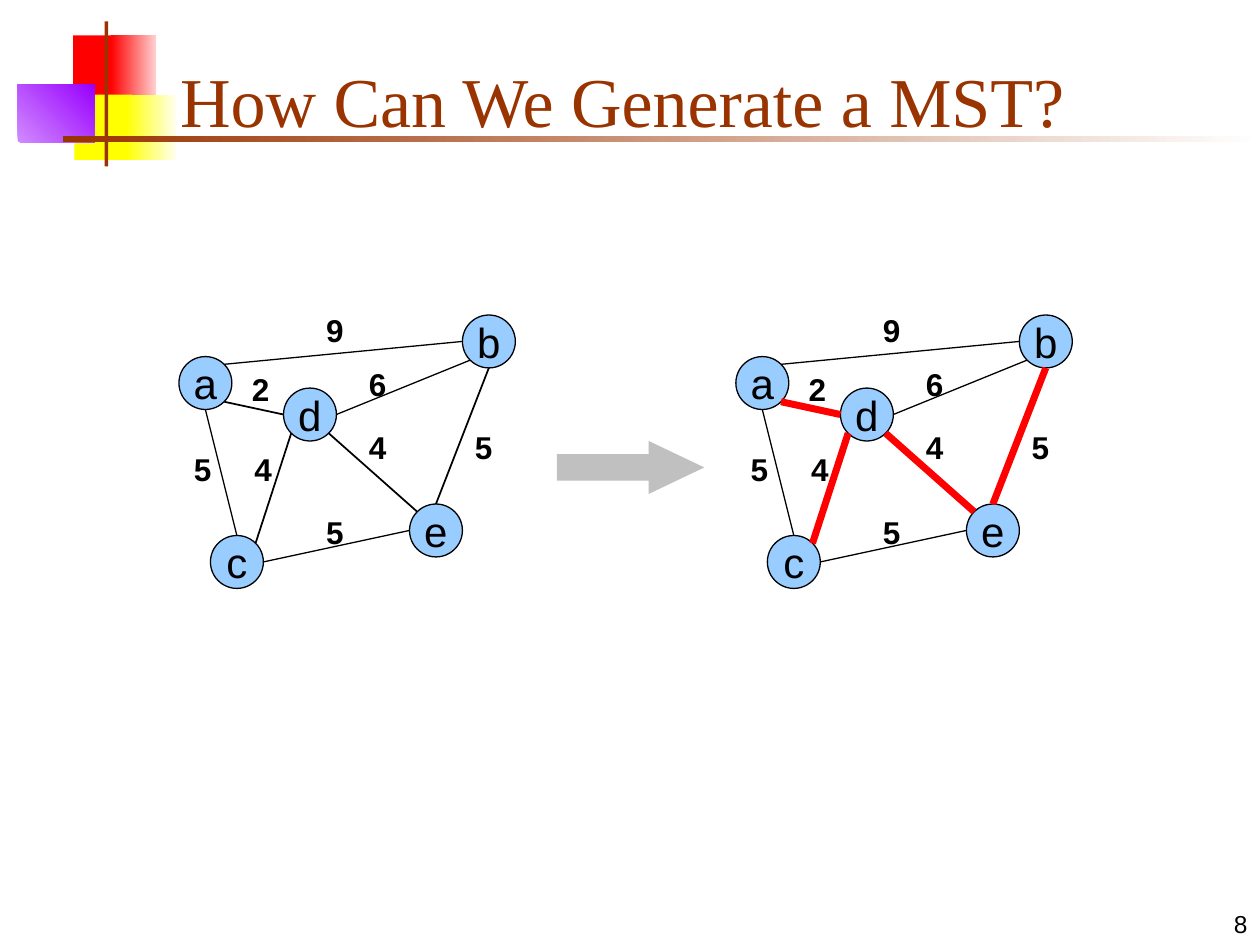
from math import sqrt
from pptx import Presentation
from pptx.dml.color import RGBColor
from pptx.enum.shapes import MSO_CONNECTOR as Link, MSO_SHAPE as Kind
from pptx.enum.text import MSO_ANCHOR as Anchor, MSO_AUTO_SIZE as Auto, PP_ALIGN as Align
from pptx.oxml.ns import qn
from pptx.util import Inches, Pt
from lxml import etree

BLACK, BROWN, RED = "000000", "993300", "FF0000"
SIZE = 0.42
DIAG = sqrt(0.5)
SIDES = {
    "N": (0, -1), "S": (0, 1), "W": (-1, 0), "E": (1, 0),
    "NW": (-DIAG, -DIAG), "NE": (DIAG, -DIAG),
    "SW": (-DIAG, DIAG), "SE": (DIAG, DIAG),
}
NODES = {"a": (1.42, 2.83), "c": (1.67, 4.25), "e": (3.25, 4),
         "d": (2.25, 3.08), "b": (3.67, 2.5)}
EDGES = [
    ("a", "NE", "b", "W", False), ("d", "E", "b", "SW", False),
    ("a", "S", "c", "N", False), ("a", "SE", "d", "W", True),
    ("c", "NE", "d", "SW", True), ("d", "SE", "e", "NW", True),
    ("b", "S", "e", "N", True), ("e", "W", "c", "E", False),
]
COSTS = [("2", 1.9, 2.89), ("4", 1.92, 3.52), ("5", 1.44, 3.52), ("9", 2.49, 2.42),
         ("6", 2.83, 2.85), ("4", 2.83, 3.35), ("5", 2.49, 4.02), ("5", 3.67, 3.35)]
BLOCKS = [
    ((0.58, 0.28, 0.35, 0.52), (RED,), 0),
    ((0.88, 0.28, 0.36, 0.52), (RED, "FFD1D1"), 0),
    ((0.59, 0.75, 0.46, 0.52), ("FFFF00",), 0),
    ((1, 0.75, 0.4, 0.52), ("FFFF00", "FFFFF0"), 0),
    ((0.14, 0.67, 0.61, 0.46), ("D18BFF", "9900FF"), 45),
    ((0.83, 0.17, 0.03, 1.15), (BROWN,), 0),
    ((0.5, 1.08, 9.5, 0.05), (BROWN, "FFFFFF"), 0),
]


def color(code):
    return RGBColor.from_string(code)


class Deck:
    sans, serif = "Arial", "Times New Roman"

    def __init__(self, slide):
        self.slide = slide
        self.shapes = slide.shapes

    def label(self, shape, text, size, font=sans, tint=BLACK, bold=False,
              align=Align.LEFT, anchor=Anchor.TOP, wrap=False, auto=Auto.NONE):
        frame = shape.text_frame
        frame.word_wrap, frame.auto_size = wrap, auto
        frame.vertical_anchor = anchor
        line = frame.paragraphs[0]
        line.alignment = align
        run = line.add_run()
        run.text = text
        run.font.name, run.font.size, run.font.bold = font, Pt(size), bold
        run.font.color.rgb = color(tint)

    def title(self, text, box):
        shape = self.shapes.title
        shape.left, shape.top, shape.width, shape.height = map(Inches, box)
        self.label(shape, text, 40, self.serif, BROWN, anchor=Anchor.BOTTOM, wrap=True)
        self.shapes.element.append(shape.element)

    def shape(self, home, kind, box, tints, angle=0):
        shape = home.add_shape(kind, *map(Inches, box))
        shape.shadow.inherit = False
        shape.line.fill.background()
        if len(tints) == 1:
            shape.fill.solid()
            shape.fill.fore_color.rgb = color(tints[0])
        else:
            shape.fill.gradient()
            shape.fill.gradient_angle = angle
            for stop, tint in zip(shape.fill.gradient_stops, tints):
                stop.color.rgb = color(tint)
        return shape

    def stroke(self, shape, tint=BLACK, width=0.75):
        shape.line.color.rgb = color(tint)
        shape.line.width = Pt(width)

    def text(self, home, text, box, size, **style):
        self.label(home.add_textbox(*map(Inches, box)), text, size, **style)

    def node(self, home, name, x, y):
        shape = self.shape(home, Kind.OVAL, (x, y, SIZE, SIZE), ("99CCFF",))
        self.stroke(shape)
        self.label(shape, name, 24, align=Align.CENTER, anchor=Anchor.MIDDLE)

    def edge(self, home, start, end, tint, width):
        line = home.add_connector(Link.STRAIGHT, *map(Inches, start + end))
        self.stroke(line, tint, width)
        etree.SubElement(line.element.spPr, qn("a:effectLst"))

    def graph(self, shift, tint, width):
        home = self.shapes.add_group_shape().shapes

        def port(name, side):
            (x, y), (dx, dy) = NODES[name], SIDES[side]
            half = SIZE / 2
            return x + shift + half * (1 + dx), y + half * (1 + dy)

        for name, (x, y) in NODES.items():
            self.node(home, name, x + shift, y)
        for one, out, two, into, tree in EDGES:
            style = (tint, width) if tree else (BLACK, 0.75)
            self.edge(home, port(one, out), port(two, into), *style)
        for cost, x, y in COSTS:
            self.text(home, cost, (x + shift, y, 0.34, 0.4), 18, bold=True,
                      auto=Auto.SHAPE_TO_FIT_TEXT)


def main():
    prs = Presentation()
    prs.slide_width, prs.slide_height = Inches(10), Inches(7.5)
    deck = Deck(prs.slides.add_slide(prs.slide_layouts[5]))
    for box, tints, angle in BLOCKS:
        deck.shape(deck.shapes, Kind.RECTANGLE, box, tints, angle)
    deck.text(deck.shapes, "8", (7.92, 7, 2.08, 0.5), 14, align=Align.RIGHT,
              anchor=Anchor.BOTTOM, wrap=True)
    deck.title("How Can We Generate a MST?", (1.33, 0.25, 8.52, 0.92))
    deck.graph(0, BLACK, 1)
    deck.graph(4.42, RED, 4)
    arrow = deck.shape(deck.shapes, Kind.RIGHT_ARROW, (4.42, 3.5, 1.17, 0.42), ("C0C0C0",))
    arrow.adjustments[0], arrow.adjustments[1] = 0.5, 1.05
    prs.save("out.pptx")


if __name__ == "__main__":
    main()
